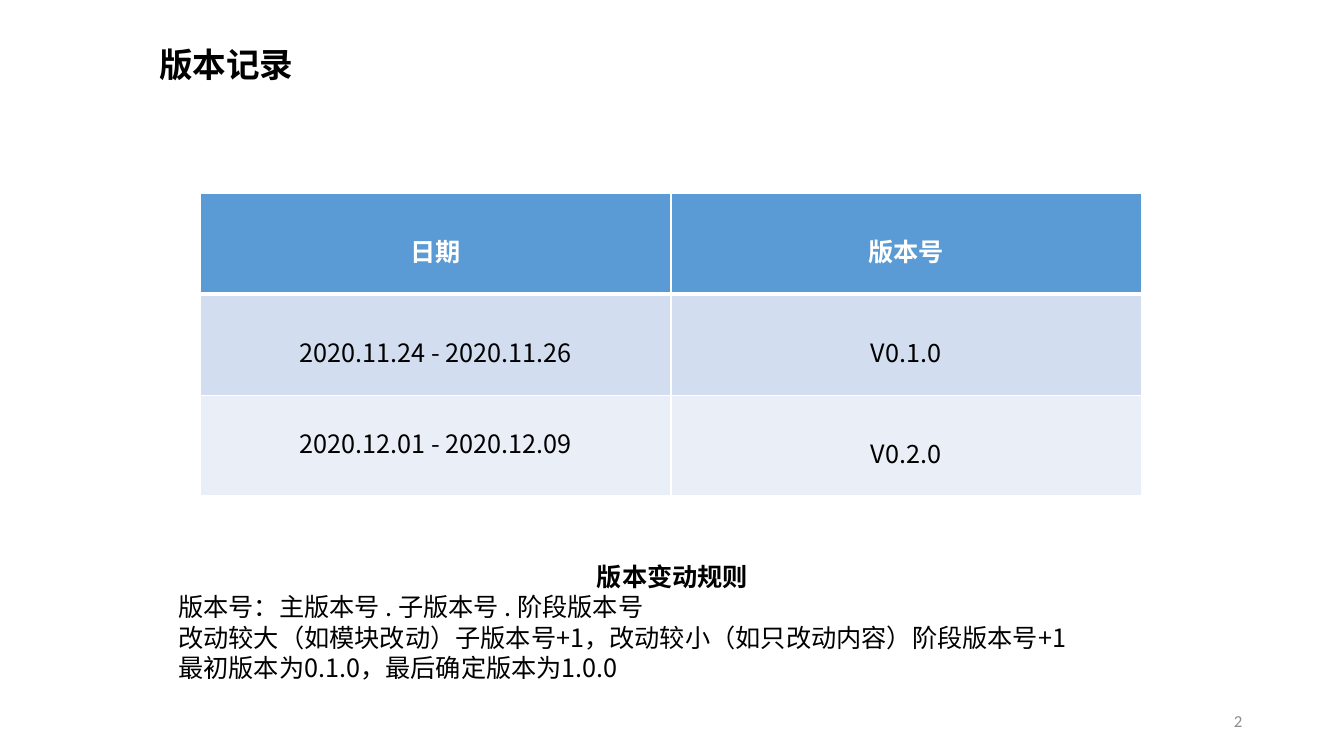
"""Build the version history slide."""
from pptx import Presentation
from pptx.dml.color import RGBColor
from pptx.enum import text
from pptx.oxml import parse_xml
from pptx.oxml.ns import nsdecls, qn
from pptx.util import Inches, Pt

BLACK = RGBColor(0, 0, 0)
WHITE = RGBColor(255, 255, 255)
GRAY = RGBColor(0x8C, 0x8C, 0x8C)
BLUE = RGBColor(0x5B, 0x9B, 0xD5)
BAND_DARK = RGBColor(0xD2, 0xDE, 0xEF)
BAND_LIGHT = RGBColor(0xEA, 0xEF, 0xF7)
CJK = "Noto Sans CJK SC"
CENTER = text.PP_ALIGN.CENTER
LEFT = text.PP_ALIGN.LEFT


def style(p, size, color=BLACK, bold=False, align=LEFT, font=CJK):
    p.alignment = align
    p.line_spacing = Pt(size * 1.2)
    p.font.size, p.font.bold, p.font.name = Pt(size), bold, font
    p.font.color.rgb = color
    for r in p.runs:
        r.font.name = font
        r._r.rPr.append(parse_xml(f'<a:ea {nsdecls("a")} typeface="{font}"/>'))


def add_text(s, box, lines):
    tf = s.shapes.add_textbox(*map(Inches, box)).text_frame
    tf.word_wrap = True
    for i, (line, look) in enumerate(lines):
        p = tf.add_paragraph() if i else tf.paragraphs[0]
        p.text = line
        style(p, **look)
    return tf


prs = Presentation()
prs.slide_width, prs.slide_height = Inches(13.33), Inches(7.5)
s = prs.slides.add_slide(prs.slide_layouts[6])

add_text(s, (1.48, 0.39, 4.74, 0.5), [("版本记录", dict(size=24, bold=True))])

rows = [
    ("日期", "版本号", BLUE),
    ("2020.11.24 - 2020.11.26", "V0.1.0", BAND_DARK),
    ("2020.12.01 - 2020.12.09", "V0.2.0", BAND_LIGHT),
]
table = s.shapes.add_table(3, 2, Inches(1.99), Inches(1.92), Inches(9.33), Inches(3)).table
for i, (*values, fill) in enumerate(rows):
    header = i == 0
    for j, value in enumerate(values):
        cell = table.cell(i, j)
        cell.text = value
        cell.vertical_anchor = text.MSO_ANCHOR.MIDDLE
        cell.margin_top = Inches(0.05 if (i, j) == (2, 0) else 0.24)
        style(cell.text_frame.paragraphs[0], 18, WHITE if header else BLACK, header, CENTER)
        tcPr = cell._tc.get_or_add_tcPr()
        for side in "LRTB":
            thick = (header and side == "B") or (i == 1 and side == "T")
            tcPr.append(parse_xml(
                f'<a:ln{side} {nsdecls("a")} w="{Pt(3 if thick else 1)}">'
                f'<a:solidFill><a:srgbClr val="{WHITE}"/></a:solidFill></a:ln{side}>'))
        cell.fill.solid()
        cell.fill.fore_color.rgb = fill
        tcPr.append(tcPr.find(qn("a:solidFill")))

body = dict(size=18)
add_text(s, (1.67, 5.52, 10, 1.61), [
    ("版本变动规则", dict(size=18, bold=True, align=CENTER)),
    ("版本号：主版本号 . 子版本号 . 阶段版本号", body),
    ("改动较大（如模块改动）子版本号+1，改动较小（如只改动内容）阶段版本号+1", body),
    ("最初版本为0.1.0，最后确定版本为1.0.0", body),
])

number = add_text(s, (9.42, 6.95, 3, 0.4), [
    ("2", dict(size=12, color=GRAY, align=text.PP_ALIGN.RIGHT, font="Calibri"))])
number.vertical_anchor = text.MSO_ANCHOR.MIDDLE

prs.save("out.pptx")
